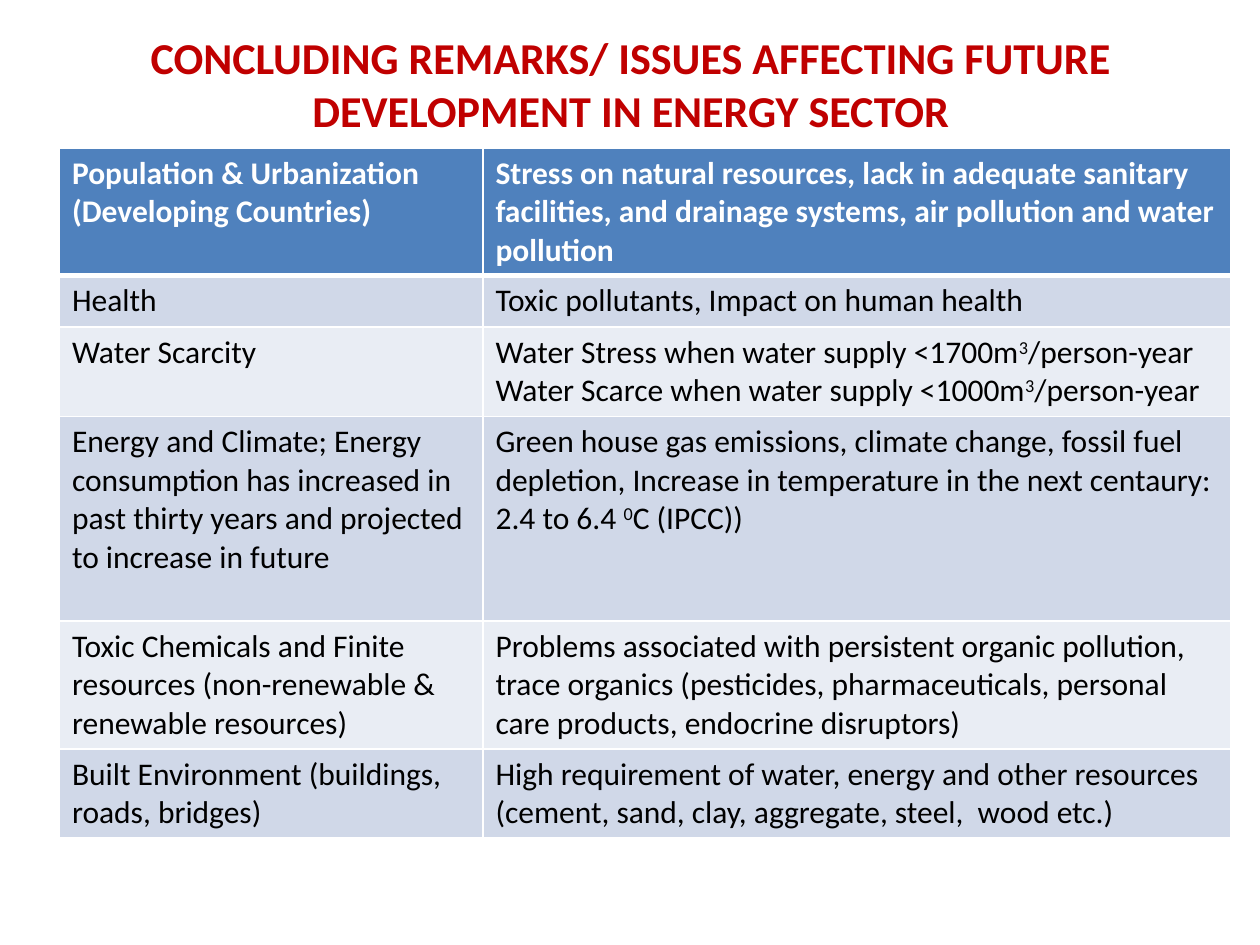
import pptx
import pptx.dml.color
import pptx.enum.text
import pptx.oxml
import pptx.oxml.ns
import pptx.util

Pt = pptx.util.Pt
RGBColor = pptx.dml.color.RGBColor

RED = RGBColor(0xC0, 0x00, 0x00)
BLUE = RGBColor(0x4F, 0x81, 0xBD)
BAND_DARK = RGBColor(0xD0, 0xD8, 0xE8)
BAND_LIGHT = RGBColor(0xE9, 0xED, 0xF4)
WHITE = RGBColor(0xFF, 0xFF, 0xFF)
BLACK = RGBColor(0x00, 0x00, 0x00)

TITLE = "CONCLUDING REMARKS/ ISSUES AFFECTING FUTURE DEVELOPMENT IN ENERGY SECTOR"
TITLE_FORMAT = {"name": "Calibri", "size": Pt(25.2), "bold": True}
HEADER_FORMAT = {"name": "Calibri", "size": Pt(18), "bold": True}
BODY_FORMAT = {"name": "Calibri", "size": Pt(18), "bold": False}

COLUMN_WIDTHS = (242, 427.5)
# Row height, issue, effect; text between ^ marks is superscript.
ISSUES = (
    (73, "Population & Urbanization\n(Developing Countries)",
     "Stress on natural resources, lack in adequate sanitary facilities, "
     "and drainage systems, air pollution and water pollution"),
    (29.5, "Health", "Toxic pollutants, Impact on human health"),
    (51, "Water Scarcity",
     "Water Stress when water supply <1700m^3^/person-year\n"
     "Water Scarce when water supply <1000m^3^/person-year"),
    (117, "Energy and Climate; Energy consumption has increased in past "
     "thirty years and projected to increase in future",
     "Green house gas emissions, climate change, fossil fuel depletion, "
     "Increase in temperature in the next centaury: 2.4 to 6.4 ^0^C (IPCC))"),
    (73, "Toxic Chemicals and Finite resources (non-renewable & renewable resources)",
     "Problems associated with persistent organic pollution, trace organics "
     "(pesticides, pharmaceuticals, personal care products, endocrine disruptors)"),
    (51, "Built Environment (buildings, roads, bridges)",
     "High requirement of water, energy and other resources "
     "(cement, sand, clay, aggregate, steel,  wood etc.)"),
)


def format_font(font, values, color):
    for attribute, value in values.items():
        setattr(font, attribute, value)
    font.color.rgb = color


def write_text(frame, text, values, color):
    """Write one paragraph per line, raising the text between ^ marks."""
    for number, line in enumerate(text.split("\n")):
        paragraph = frame.add_paragraph() if number else frame.paragraphs[0]
        for position, part in enumerate(line.split("^")):
            run = paragraph.add_run()
            run.text = part
            format_font(run.font, values, color)
            if position % 2:
                run._r.get_or_add_rPr().set("baseline", "30000")


def set_borders(cell, widths):
    properties = cell._tc.get_or_add_tcPr()
    for side, width in widths.items():
        properties.append(pptx.oxml.parse_xml(
            f'<a:ln{side} {pptx.oxml.ns.nsdecls("a")} w="{Pt(width)}">'
            f'<a:solidFill><a:srgbClr val="{WHITE}"/></a:solidFill></a:ln{side}>'))


def add_title(slide):
    frame = slide.shapes.add_textbox(Pt(36.5), Pt(15), Pt(648), Pt(65)).text_frame
    frame.word_wrap = True
    frame.vertical_anchor = pptx.enum.text.MSO_ANCHOR.MIDDLE
    write_text(frame, TITLE, TITLE_FORMAT, RED)
    frame.paragraphs[0].alignment = pptx.enum.text.PP_ALIGN.CENTER


def add_issue_table(slide):
    total_height = sum(height for height, *_ in ISSUES)
    table = slide.shapes.add_table(
        len(ISSUES), len(COLUMN_WIDTHS), Pt(34), Pt(84.5),
        Pt(sum(COLUMN_WIDTHS)), Pt(total_height)).table
    for column, width in zip(table.columns, COLUMN_WIDTHS):
        column.width = Pt(width)
    for number, (height, *texts) in enumerate(ISSUES):
        table.rows[number].height = Pt(height)
        is_header = number == 0
        band = BAND_DARK if number % 2 else BAND_LIGHT
        borders = {"L": 1, "R": 1, "T": 3 if number == 1 else 1,
                   "B": 3 if is_header else 1}
        for cell, text in zip(table.rows[number].cells, texts):
            set_borders(cell, borders)
            cell.fill.solid()
            cell.fill.fore_color.rgb = BLUE if is_header else band
            write_text(cell.text_frame, text,
                       HEADER_FORMAT if is_header else BODY_FORMAT,
                       WHITE if is_header else BLACK)


def main():
    presentation = pptx.Presentation()
    presentation.slide_width = Pt(720)
    presentation.slide_height = Pt(540)
    slide = presentation.slides.add_slide(presentation.slide_layouts[6])
    add_title(slide)
    add_issue_table(slide)
    presentation.save("out.pptx")


if __name__ == "__main__":
    main()
